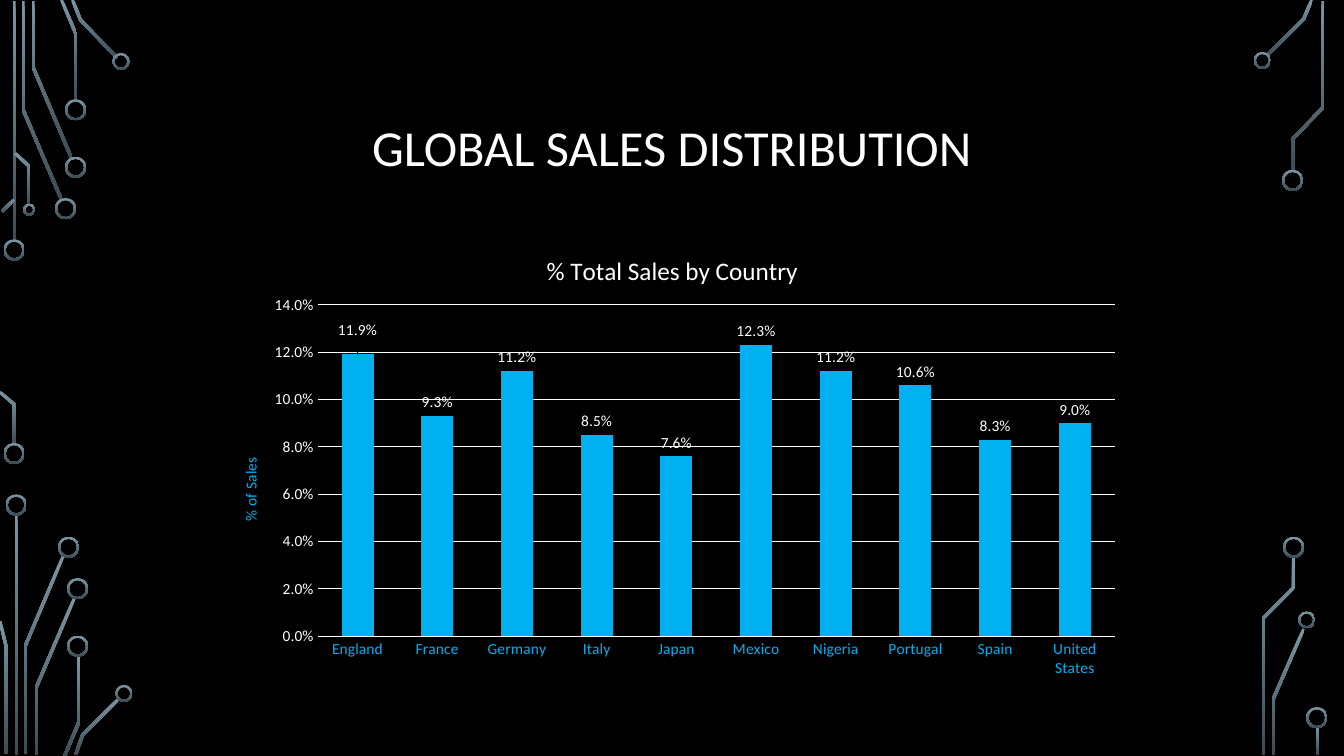
from math import hypot

from lxml import etree
from pptx import Presentation
from pptx.chart.data import CategoryChartData
from pptx.dml.color import RGBColor
from pptx.enum.chart import XL_CHART_TYPE, XL_LABEL_POSITION, XL_TICK_MARK
from pptx.enum.shapes import MSO_SHAPE
from pptx.enum.text import MSO_ANCHOR, PP_ALIGN
from pptx.oxml.ns import qn
from pptx.util import Inches, Pt

COLUMNS = XL_CHART_TYPE.COLUMN_CLUSTERED
OUTSIDE_END = XL_LABEL_POSITION.OUTSIDE_END
NO_TICK = XL_TICK_MARK.NONE
DONUT = MSO_SHAPE.DONUT
MIDDLE = MSO_ANCHOR.MIDDLE
CENTER = PP_ALIGN.CENTER

COLORS = {"back": "000000", "text": "FFFFFF", "accent": "00B0F0",
          "trace_top": "7C96A3", "trace_bottom": "3B4C54"}
FONT = "Calibri"
PERCENT = "0.0%"
TRACE_WIDTH = 0.03
RING_WIDTH = 0.02

SALES = {"England": 0.119, "France": 0.093, "Germany": 0.112, "Italy": 0.085,
         "Japan": 0.076, "Mexico": 0.123, "Nigeria": 0.112, "Portugal": 0.106,
         "Spain": 0.083, "United States": 0.09}

# Each circuit: left and top of its box, then traces (points along the middle)
# and rings (centre x, centre y, diameter), measured from that corner.
CIRCUITS = [
    ((0, 0),
     [[(0.14, 0.01), (0.14, 2.4)],
      [(0.23, 0.01), (0.23, 1.09), (0.61, 1.98)],
      [(0.33, 0.01), (0.33, 0.67), (0.71, 1.57)],
      [(0.61, 0), (0.75, 0.33), (0.75, 1)],
      [(0.72, 0), (0.8, 0.2), (1.16, 0.57)],
      [(0.02, 2.1), (0.14, 1.98)],
      [(0.15, 1.52), (0.29, 1.65), (0.29, 2.03)]],
     [(0.14, 2.48, 0.21), (0.65, 2.07, 0.21), (0.75, 1.66, 0.21),
      (0.75, 1.09, 0.21), (1.2, 0.61, 0.17), (0.29, 2.08, 0.12)]),
    ((0, 3.8),
     [[(0, 0.09), (0.14, 0.21), (0.14, 0.61)]],
     [(0.14, 0.7, 0.21)]),
    ((0, 4.5),
     [[(0.16, 0.6), (0.16, 2.99)],
      [(0.25, 2.98), (0.25, 1.91), (0.63, 1.01)],
      [(0.06, 2.98), (0.06, 1.91), (0, 1.66)],
      [(0.36, 2.99), (0.36, 2.32), (0.74, 1.43)],
      [(0.64, 3), (0.78, 2.67), (0.78, 2)],
      [(0.75, 2.99), (0.82, 2.79), (1.18, 2.43)]],
     [(0.16, 0.51, 0.21), (0.68, 0.93, 0.21), (0.77, 1.34, 0.21),
      (0.77, 1.91, 0.21), (1.23, 2.38, 0.17)]),
    ((12.33, 0),
     [[(0.24, 0.55), (0.6, 0.19), (0.68, 0)],
      [(0.49, 1.69), (0.49, 1.38), (0.79, 1.07), (0.79, 0.01)]],
     [(0.19, 0.6, 0.17), (0.49, 1.79, 0.21)]),
    ((12.33, 4.5),
     [[(0.3, 2.99), (0.3, 2.43), (0.6, 1.74)],
      [(0.2, 2.99), (0.2, 1.63), (0.5, 1.33), (0.5, 1.02)],
      [(0.74, 2.71), (0.74, 2.99)]],
     [(0.63, 1.65, 0.17), (0.5, 0.93, 0.21), (0.73, 2.62, 0.21)]),
]


def color(name):
    return RGBColor.from_string(COLORS[name])


def format_font(font, size, shade="text"):
    for key, value in {"name": FONT, "size": Pt(size), "bold": False}.items():
        setattr(font, key, value)
    font.color.rgb = color(shade)


def paint_metal(shape):
    """Fill with the top-to-bottom grey gradient, without line or shadow."""
    shape.shadow.inherit = False
    shape.line.fill.background()
    shape.fill.gradient()
    shape.fill.gradient_angle = 270
    for stop, name in zip(shape.fill.gradient_stops, ("trace_top", "trace_bottom")):
        stop.color.rgb = color(name)


def trace_edge(points, offset):
    """Shift a polyline sideways by offset, with mitred corners."""
    normals = []
    for (x1, y1), (x2, y2) in zip(points, points[1:]):
        length = hypot(x2 - x1, y2 - y1)
        normals.append(((y1 - y2) / length, (x2 - x1) / length))
    edge = []
    for (x, y), (ax, ay), (bx, by) in zip(
            points, normals[:1] + normals, normals + normals[-1:]):
        scale = offset / (1 + ax * bx + ay * by)
        edge.append((x + (ax + bx) * scale, y + (ay + by) * scale))
    return edge


def add_circuit(page, corner, traces, rings):
    left, top = corner
    for points in traces:
        outline = (trace_edge(points, TRACE_WIDTH / 2)
                   + trace_edge(points, -TRACE_WIDTH / 2)[::-1])
        vertices = [(Inches(left + x), Inches(top + y)) for x, y in outline]
        builder = page.shapes.build_freeform(*vertices[0])
        builder.add_line_segments(vertices[1:], close=True)
        paint_metal(builder.convert_to_shape())
    for x, y, size in rings:
        ring = page.shapes.add_shape(
            DONUT, Inches(left + x - size / 2), Inches(top + y - size / 2),
            Inches(size), Inches(size))
        ring.adjustments[0] = RING_WIDTH / size
        paint_metal(ring)


def add_title(page, left, top, width, height):
    title = page.shapes.title
    box = {"left": left, "top": top, "width": width, "height": height}
    for key, value in box.items():
        setattr(title, key, Inches(value))
    frame = title.text_frame
    frame.text = "GLOBAL SALES DISTRIBUTION"
    frame.vertical_anchor = MIDDLE
    para = frame.paragraphs[0]
    para.alignment = CENTER
    para.line_spacing = 0.9
    format_font(para.runs[0].font, 36)


def set_layout(parent, index, **values):
    """Give a chart part a manual layout, as fractions of the chart."""
    for old in parent.findall(qn("c:layout")):
        parent.remove(old)
    layout = etree.Element(qn("c:layout"))
    manual = etree.SubElement(layout, qn("c:manualLayout"))
    for name, value in values.items():
        etree.SubElement(manual, qn("c:" + name)).set("val", str(value))
    parent.insert(index, layout)


def write_chart_title(title, text, size, shade, x, y):
    title.text_frame.text = text
    format_font(title.text_frame.paragraphs[0].runs[0].font, size, shade)
    set_layout(title._element, 1, xMode="edge", yMode="edge", x=x, y=y)


def add_sales_chart(page, left, top, width, height):
    data = CategoryChartData(number_format=PERCENT)
    data.categories = list(SALES)
    data.add_series("Series 1", list(SALES.values()))
    chart = page.shapes.add_chart(COLUMNS, Inches(left), Inches(top),
                                  Inches(width), Inches(height), data).chart
    format_font(chart.font, 10)
    chart.has_legend = False
    write_chart_title(chart.chart_title, "% Total Sales by Country", 18, "text", 0.36, 0.04)

    for axis, shade in ((chart.category_axis, "accent"), (chart.value_axis, "text")):
        axis.major_tick_mark = axis.minor_tick_mark = NO_TICK
        axis.format.line.fill.background()
        format_font(axis.tick_labels.font, 11, shade)
    scale = chart.value_axis
    scale.minimum_scale, scale.maximum_scale, scale.major_unit = 0, 0.14, 0.02
    scale.tick_labels.number_format = PERCENT
    scale.tick_labels.number_format_is_linked = False
    grid = scale.major_gridlines.format.line
    grid.color.rgb = color("text")
    grid.width = Pt(0.75)
    write_chart_title(scale.axis_title, "% of Sales", 11, "accent", 0.03, 0.49)

    plot = chart.plots[0]
    plot.gap_width = 150
    plot.vary_by_categories = False
    set_layout(plot._element.getparent(), 0, layoutTarget="inner", xMode="edge",
               yMode="edge", x=0.117, y=0.162, w=0.863, h=0.726)
    series = plot.series[0]
    series.format.fill.solid()
    series.format.fill.fore_color.rgb = color("accent")
    labels = series.data_labels
    settings = {"show_value": True, "number_format": PERCENT,
                "number_format_is_linked": False, "position": OUTSIDE_END}
    for key, value in settings.items():
        setattr(labels, key, value)
    format_font(labels.font, 11)
    first = series.points[0].data_label
    format_font(first.font, 11)
    first.position = OUTSIDE_END
    set_layout(series._element.find(".//" + qn("c:dLbl")), 1, x=0, y=-0.024)


def main():
    deck = Presentation()
    deck.slide_width, deck.slide_height = Inches(13.33), Inches(7.5)
    page = deck.slides.add_slide(deck.slide_layouts.get_by_name("Title Only"))
    page.background.fill.solid()
    page.background.fill.fore_color.rgb = color("back")
    for corner, traces, rings in CIRCUITS:
        add_circuit(page, corner, traces, rings)
    add_title(page, 1.25, 0.68, 10.83, 1.62)
    add_sales_chart(page, 2.08, 2.29, 9.16, 4.53)
    deck.save("out.pptx")


if __name__ == "__main__":
    main()
